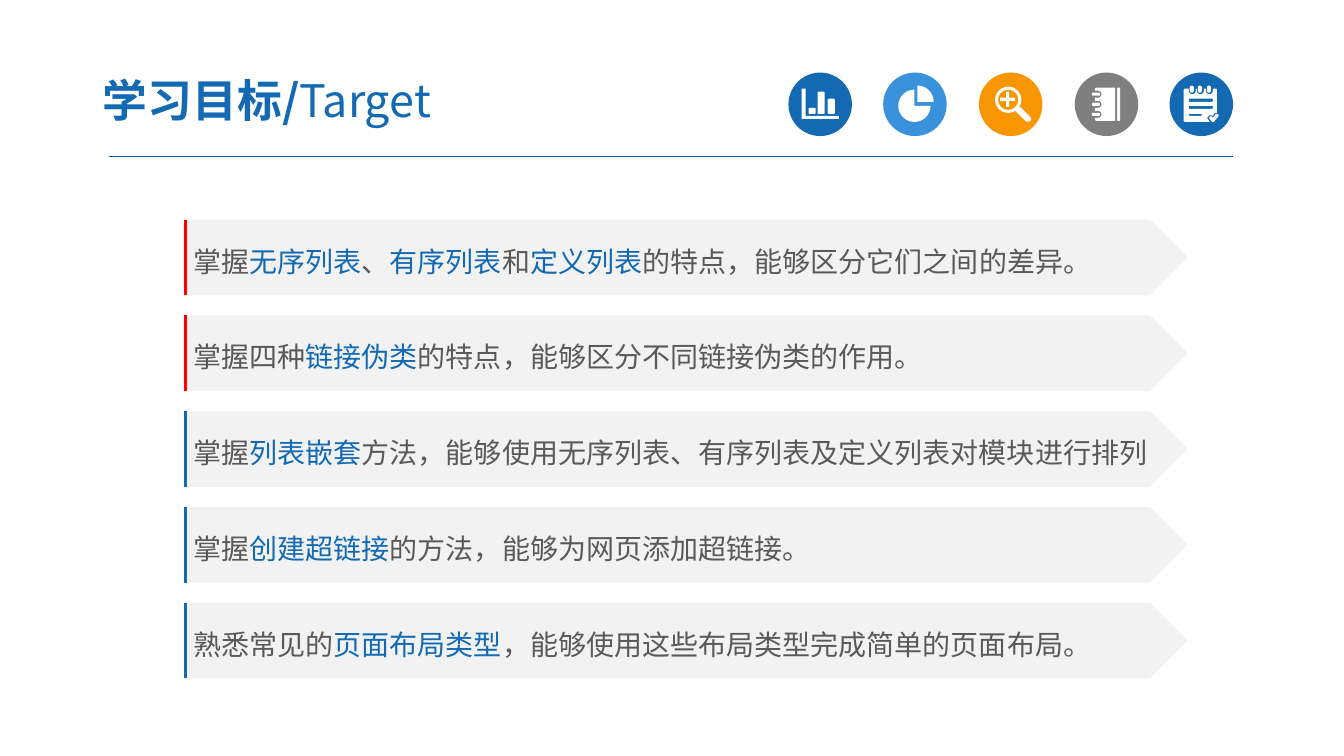
from dataclasses import dataclass
from math import cos, radians, sin

from lxml.etree import SubElement
from pptx import Presentation
from pptx.dml.color import RGBColor
from pptx.enum.shapes import MSO_CONNECTOR as Connector, MSO_SHAPE as Preset
from pptx.enum.text import MSO_ANCHOR as Anchor, PP_ALIGN as Align
from pptx.oxml.ns import qn
from pptx.util import Pt

PX = 9144  # 100 px to the inch


@dataclass(frozen=True)
class Theme:
    font: str = "Noto Sans CJK SC"
    title_size: int = 32
    goal_size: int = 20
    blue: str = "1369B2"
    light_blue: str = "3992DB"
    orange: str = "F79600"
    gray: str = "7F7F7F"
    red: str = "FF0000"
    rule: str = "005B9E"
    text: str = "595959"
    panel: str = "F2F2F2"
    white: str = "FFFFFF"


THEME = Theme()

# Text between bars is highlighted
GOALS = [
    (THEME.red, "掌握|无序列表|、|有序列表|和|定义列表|的特点，能够区分它们之间的差异。"),
    (THEME.red, "掌握四种|链接伪类|的特点，能够区分不同链接伪类的作用。"),
    (THEME.blue, "掌握|列表嵌套|方法，能够使用无序列表、有序列表及定义列表对模块进行排列"),
    (THEME.blue, "掌握|创建超链接|的方法，能够为网页添加超链接。"),
    (THEME.blue, "熟悉常见的|页面布局类型|，能够使用这些布局类型完成简单的页面布局。"),
]


# Outlines, in px from the corner of an icon's disc
def arc(x, y, radius, start, end, steps=12):
    angles = [radians(start + (end - start) * i / steps) for i in range(steps + 1)]
    return [(x + radius * cos(a), y + radius * sin(a)) for a in angles]


def rounded(left, top, width, height, radius=1):
    right, bottom = left + width - radius, top + height - radius
    left, top = left + radius, top + radius
    corners = [(right, bottom), (left, bottom), (left, top), (right, top)]
    return [point for i, (x, y) in enumerate(corners)
            for point in arc(x, y, radius, 90 * i, 90 * i + 90, 4)]


def bar_chart():
    axes = [(13, 16), (17, 16), (17, 43), (50, 43), (50, 46), (13, 46)]
    bars = [(20, 35, 7, 6), (29, 19, 7, 22), (39, 26, 7, 15)]
    return [axes] + [rounded(*bar) for bar in bars]


def pie_chart():
    return [[(34, 29)] + arc(34, 29, 16, -90, 0),
            [(31, 33)] + arc(31, 33, 16, 0, 270, 36)]


def magnifier():
    plus = [(27, 19), (30, 19), (30, 25), (36, 25), (36, 28), (30, 28),
            (30, 34), (27, 34), (27, 28), (21, 28), (21, 25), (27, 25)]
    handle = [(36, 38), (41, 34), (50, 43), (52, 46), (51, 48), (48, 49), (46, 48)]
    return [arc(29, 27, radius, 0, 360, 36) for radius in (13, 10)] + [plus, handle]


def notebook():
    cover = [(40, 48), (40, 15), (21, 15), (20, 16)]
    for top in (18, 28, 38):
        cover += [(20, top), *arc(23, top + 3.5, 3.5, -90, 90), (20, top + 7)]
    cover += [(20, 47), (21, 48)]
    rings = [rounded(17, top, 8, 3) for top in (20, 30, 40)]
    return [cover, rounded(42, 15, 3, 33)] + rings


def notepad():
    page = [(14, 17), (15, 16)]
    for left in (19, 27, 36):
        page += [(left, 16), *arc(left + 3.5, 18, 3.5, 180, 0), (left + 7, 16)]
    page += [(46, 16), (47, 17), (47, 40), (45, 40), (43, 43),
             (40, 42), (37, 45), (40, 49), (15, 49), (14, 48)]
    rings = [rounded(left, 13, 4, 7, 2) for left in (20, 28, 37)]
    lines = [rounded(19, 26, 24, 3), rounded(19, 33, 24, 3), rounded(19, 41, 13, 2)]
    tick = [(48, 44), (44, 49), (42, 49), (39, 45), (41, 43), (43, 45), (46, 41), (49, 42)]
    return [page, tick] + rings + lines


# Elements
def style_shape(shape, color):
    shape.shadow.inherit = False
    shape.fill.solid()
    shape.fill.fore_color.rgb = RGBColor.from_string(color)
    shape.line.fill.background()


def add_preset(slide, preset, left, top, width, height, color):
    shape = slide.shapes.add_shape(preset, left * PX, top * PX, width * PX, height * PX)
    style_shape(shape, color)
    return shape


def add_line(slide, x1, y1, x2, y2, color, width):
    line = slide.shapes.add_connector(Connector.STRAIGHT, x1 * PX, y1 * PX, x2 * PX, y2 * PX)
    line.line.color.rgb = RGBColor.from_string(color)
    line.line.width = Pt(width)
    SubElement(line._element.spPr, qn("a:effectLst"))


def add_run(paragraph, text, *, size, color, bold=False):
    run = paragraph.add_run()
    run.text = text
    font = run.font
    font.size, font.bold, font.name = Pt(size), bold, THEME.font
    font.color.rgb = RGBColor.from_string(color)
    SubElement(font._element, qn("a:ea"), typeface=THEME.font)


def add_icon(slide, left, top, color, outlines):
    add_preset(slide, Preset.OVAL, left, top, 63, 63, color)
    contours = [[((left + x) * PX, (top + y) * PX) for x, y in points] for points in outlines]
    builder = slide.shapes.build_freeform(*contours[0][0])
    for points in contours:
        if points is not contours[0]:
            builder.move_to(*points[0])
        builder.add_line_segments(points[1:], close=True)
    style_shape(builder.convert_to_shape(), THEME.white)


def add_title(slide):
    box = slide.shapes.add_textbox(89 * PX, 63 * PX, 522 * PX, 72 * PX)
    frame = box.text_frame
    frame.word_wrap = True
    frame.vertical_anchor = Anchor.MIDDLE
    frame.margin_left = frame.margin_right = 13 * PX
    frame.margin_top = frame.margin_bottom = 7 * PX
    for text, bold in (("学习目标/", True), ("Target", False)):
        add_run(frame.paragraphs[0], text, size=THEME.title_size, color=THEME.blue, bold=bold)


def add_goal(slide, top, accent, text):
    panel = add_preset(slide, Preset.PENTAGON, 182, top, 996, 75, THEME.panel)
    frame = panel.text_frame
    frame.word_wrap = True
    frame.vertical_anchor = Anchor.MIDDLE
    paragraph = frame.paragraphs[0]
    paragraph.alignment = Align.LEFT
    paragraph.line_spacing = 1.2
    for i, part in enumerate(text.split("|")):
        add_run(paragraph, part, size=THEME.goal_size,
                color=THEME.blue if i % 2 else THEME.text)
    add_line(slide, 184, top + 75, 184, top, accent, 1.5)


def main():
    presentation = Presentation()
    presentation.slide_width, presentation.slide_height = 1333 * PX, 750 * PX
    slide = presentation.slides.add_slide(presentation.slide_layouts[6])

    # Header
    add_line(slide, 108, 155, 1223, 155, THEME.rule, 0.75)
    icons = [(THEME.blue, bar_chart), (THEME.light_blue, pie_chart),
             (THEME.orange, magnifier), (THEME.gray, notebook), (THEME.blue, notepad)]
    for i, (color, outlines) in enumerate(icons):
        add_icon(slide, 782 + round(94.5 * i), 72, color, outlines())
    add_title(slide)

    # Learning goals
    for i, (accent, text) in enumerate(GOALS):
        add_goal(slide, 218 + 95 * i, accent, text)

    presentation.save("out.pptx")


if __name__ == "__main__":
    main()
